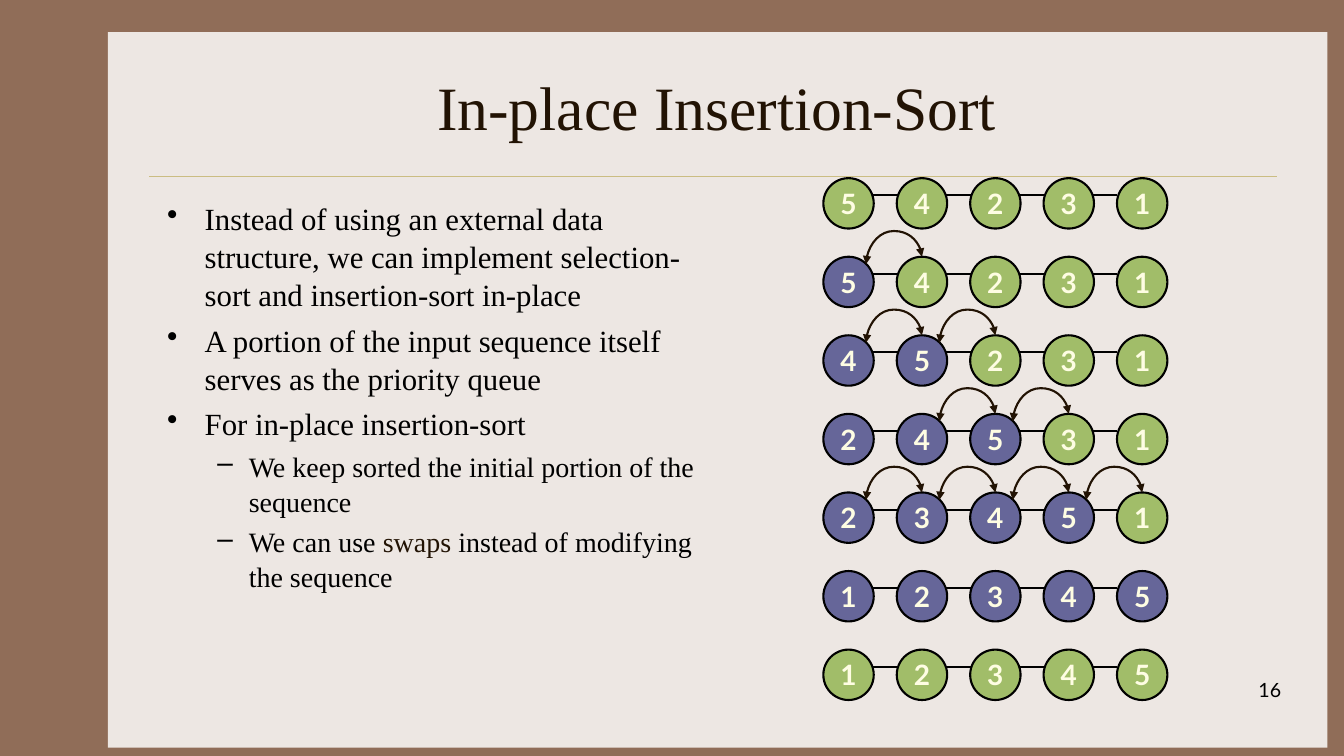
from lxml import etree
from pptx import Presentation
from pptx.dml.color import RGBColor
from pptx.enum.shapes import MSO_CONNECTOR, MSO_SHAPE
from pptx.enum.text import MSO_ANCHOR, PP_ALIGN
from pptx.oxml.ns import qn
from pptx.util import Cm, Pt

LINE, CURVE = MSO_CONNECTOR.STRAIGHT, MSO_CONNECTOR.CURVE
RECT, OVAL = MSO_SHAPE.RECTANGLE, MSO_SHAPE.OVAL
TOP, MID = MSO_ANCHOR.TOP, MSO_ANCHOR.MIDDLE
LEFT, CENTER, RIGHT = PP_ALIGN.LEFT, PP_ALIGN.CENTER, PP_ALIGN.RIGHT

BROWN = RGBColor(0x90, 0x6D, 0x58)
PAPER = RGBColor(0xED, 0xE7, 0xE3)
GOLD = RGBColor(0xCB, 0xBD, 0x83)
DARK = RGBColor(0x22, 0x13, 0x04)
BLACK = RGBColor(0, 0, 0)
GREEN = RGBColor(0xA1, 0xBD, 0x69)
PURPLE = RGBColor(0x66, 0x66, 0x99)
CREAM = RGBColor(0xFE, 0xFD, 0xE3)
SERIF, SANS = "Times New Roman", "Lato"

TITLE = "In-place Insertion-Sort"
PAGE = "16"
POINTS = [
    (0, [("Instead of using an external data structure, we can implement "
          "selection-sort and insertion-sort in-place", BLACK)]),
    (0, [("A portion of the input sequence itself serves as the priority queue", BLACK)]),
    (0, [("For in-place insertion-sort", BLACK)]),
    (1, [("We keep sorted the initial portion of the sequence", BLACK)]),
    (1, [("We can use ", BLACK), ("swaps", DARK),
         (" instead of modifying the sequence", BLACK)]),
]
LEVELS = [
    {"mark": "•", "left": 0.95, "hang": 0.95, "size": 22, "gap": 5.5},
    {"mark": "–", "left": 2.06, "hang": 0.79, "size": 20, "gap": 4.5},
]
# digits, length of sorted part, swaps by left index
STEPS = [
    ("54231", 0, []),
    ("54231", 1, [0]),
    ("45231", 2, [1, 0]),
    ("24531", 3, [1, 2]),
    ("23451", 4, [3, 2, 1, 0]),
    ("12345", 5, []),
    ("12345", 0, []),
]
STEPS_X, STEPS_Y = 20.75, 4.49
PITCH_X, PITCH_Y = 1.85, 1.98
NODE = 1.27
SWAP_W, SWAP_H = 1.41, 0.19
BEND = -341400


def style(run, size, face, color, bold=False):
    font = run.font
    font.size, font.name, font.bold = Pt(size), face, bold
    font.color.rgb = color


def add_text(slide, box, text, size, face, color, align, anchor):
    frame = slide.shapes.add_textbox(*map(Cm, box)).text_frame
    frame.word_wrap = True
    frame.vertical_anchor = anchor
    para = frame.paragraphs[0]
    para.text = text
    para.alignment = align
    style(para.runs[0], size, face, color)


def add_line(slide, kind, ends, color, width):
    line = slide.shapes.add_connector(kind, *map(Cm, ends))
    line.line.color.rgb = color
    line.line.width = Pt(width)
    etree.SubElement(line._element.spPr, qn("a:effectLst"))
    return line


def add_points(slide):
    frame = slide.shapes.add_textbox(Cm(3.96), Cm(4.88), Cm(13.82), Cm(11.43)).text_frame
    frame.word_wrap = True
    frame.vertical_anchor = TOP
    for i, (level, parts) in enumerate(POINTS):
        look = LEVELS[level]
        para = frame.add_paragraph() if i else frame.paragraphs[0]
        para.level = level
        props = para._p.get_or_add_pPr()
        props.set("marL", str(Cm(look["left"])))
        props.set("indent", str(-Cm(look["hang"])))
        etree.SubElement(props, qn("a:buChar")).set("char", look["mark"])
        para.alignment = LEFT
        para.line_spacing = 1.03
        if i:
            para.space_before = Pt(look["gap"])
        for text, color in parts:
            run = para.add_run()
            run.text = text
            style(run, look["size"], SERIF, color)


def add_node(slide, x, y, digit, fill):
    node = slide.shapes.add_shape(OVAL, Cm(x), Cm(y), Cm(NODE), Cm(NODE))
    node.shadow.inherit = False
    node.fill.solid()
    node.fill.fore_color.rgb = fill
    node.line.color.rgb = BLACK
    node.line.width = Pt(1.5)
    frame = node.text_frame
    frame.word_wrap = False
    frame.vertical_anchor = MID
    para = frame.paragraphs[0]
    para.text = digit
    para.alignment = CENTER
    style(para.runs[0], 20, SANS, CREAM, True)


def add_swap(slide, x, y):
    right, mid = x + PITCH_X + NODE / 2, y + SWAP_H / 2
    left = right - SWAP_W / 2 - SWAP_H / 2
    top = mid - SWAP_W / 2
    swap = add_line(slide, CURVE, (left, top, left + SWAP_H, top + SWAP_W), DARK, 1.5)
    props = swap._element.spPr
    frame = props.find(qn("a:xfrm"))
    for key, value in (("rot", "16200000"), ("flipH", "1"), ("flipV", "1")):
        frame.set(key, value)
    guides = props.find(qn("a:prstGeom")).find(qn("a:avLst"))
    guide = etree.SubElement(guides, qn("a:gd"))
    guide.set("name", "adj1")
    guide.set("fmla", f"val {BEND}")
    stroke = props.find(qn("a:ln"))
    for end in ("a:headEnd", "a:tailEnd"):
        etree.SubElement(stroke, qn(end)).set("type", "triangle")


def main():
    deck = Presentation()
    deck.slide_width, deck.slide_height = Cm(33.87), Cm(19.05)
    slide = deck.slides.add_slide(deck.slide_layouts[6])
    slide.background.fill.solid()
    slide.background.fill.fore_color.rgb = BROWN

    paper = slide.shapes.add_shape(RECT, Cm(2.72), Cm(0.81), Cm(30.73), Cm(18.03))
    paper.shadow.inherit = False
    paper.fill.solid()
    paper.fill.fore_color.rgb = PAPER
    paper.line.fill.background()
    add_line(slide, LINE, (3.76, 4.45, 32.18, 4.45), GOLD, 0.25)

    add_text(slide, (3.96, 1.07, 28.22, 3.18), TITLE, 44, SERIF, DARK, CENTER, MID)
    add_points(slide)
    add_text(slide, (25.48, 16.97, 7.06, 1.27), PAGE, 14, SANS, BLACK, RIGHT, TOP)

    for row, (digits, done, swaps) in enumerate(STEPS):
        y = STEPS_Y + row * PITCH_Y
        spots = [STEPS_X + i * PITCH_X for i in range(len(digits))]
        add_line(slide, LINE, (spots[0] + 0.84, y + 0.43, spots[-1], y + 0.43), BLACK, 1.5)
        for i, digit in enumerate(digits):
            add_node(slide, spots[i], y, digit, PURPLE if i < done else GREEN)
        for i in swaps:
            add_swap(slide, spots[i], y)

    deck.save("out.pptx")


if __name__ == "__main__":
    main()
